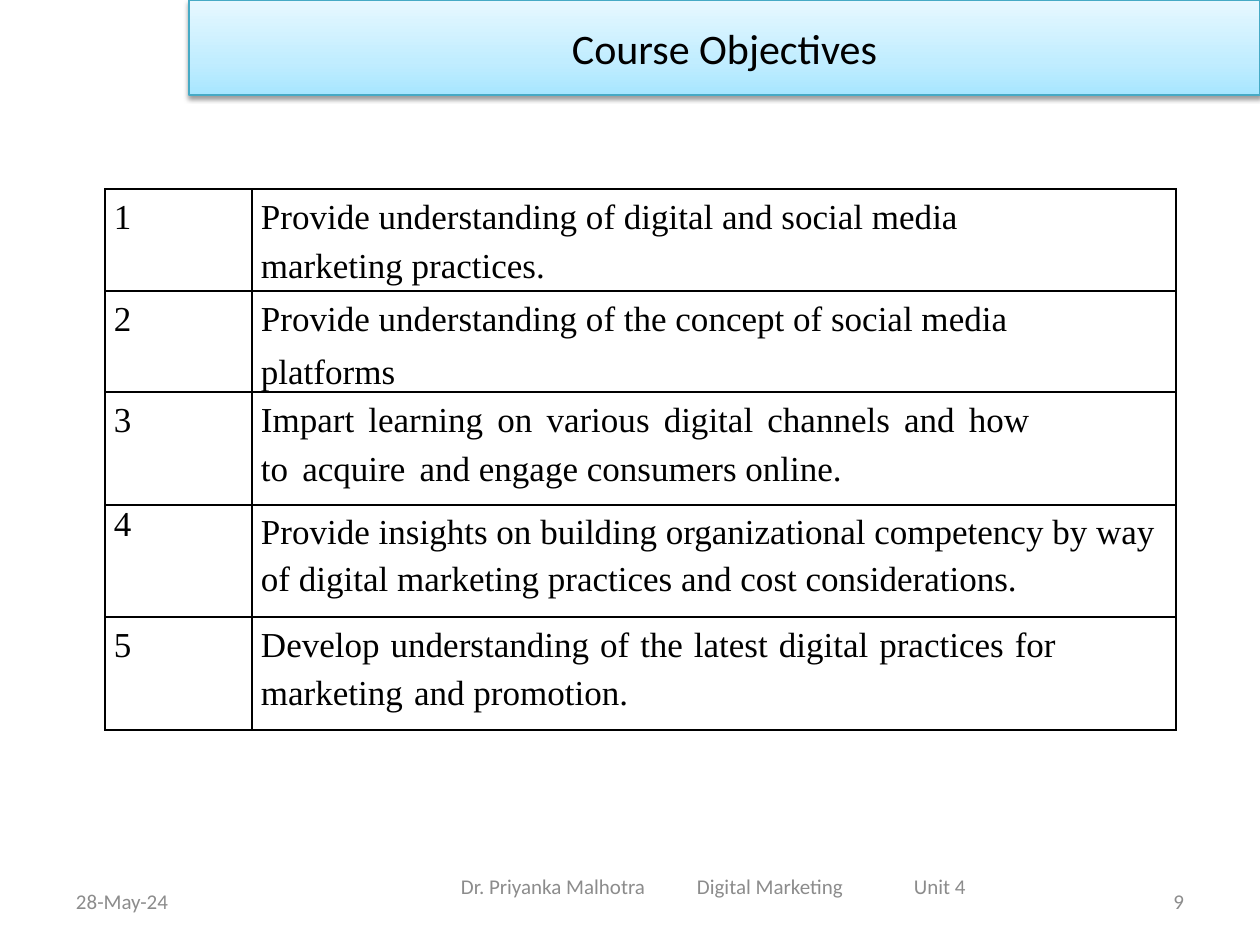
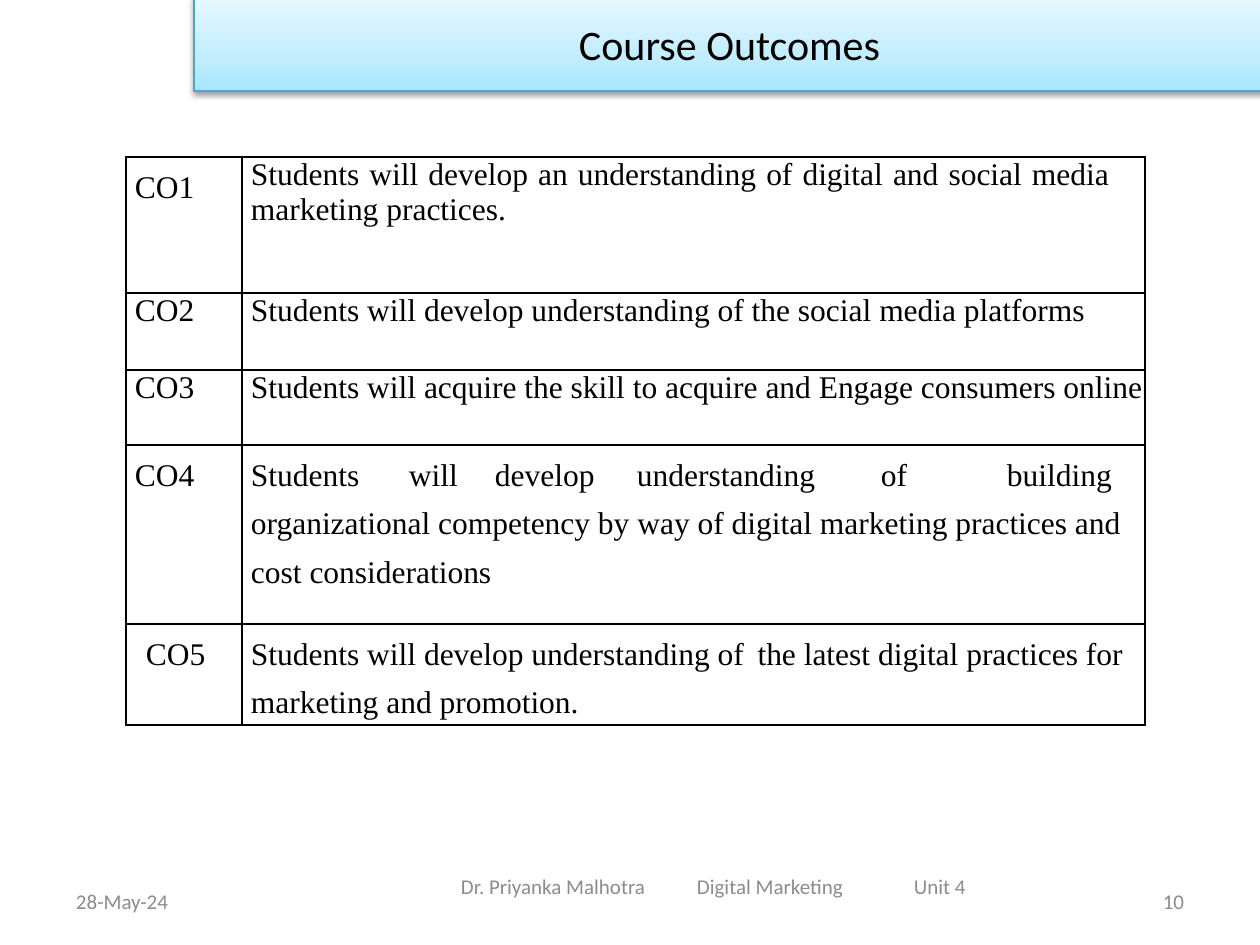
import pptx
import pptx.util
import pptx.dml.color
import pptx.enum.text
import pptx.oxml

PX = 914400 / 126
COLORS = {"text": "000000", "footer": "8C8C8C", "edge": "46AAC5", "border": "000000",
          "band_low": "A7E6FF", "band_mid": "C1EDFF", "band_high": "E7F8FF"}
NS = 'xmlns:a="http://schemas.openxmlformats.org/drawingml/2006/main"'
ALIGN = pptx.enum.text.PP_ALIGN
MIDDLE = pptx.enum.text.MSO_ANCHOR.MIDDLE
SANS, SERIF = "Calibri", "Times New Roman"

FOOTERS = [
    {"box": (63, 876, 294, 50), "text": "28-May-24", "align": ALIGN.LEFT, "inset": 13},
    {"box": (461, 861, 580, 50), "text": "Dr. Priyanka Malhotra\tDigital Marketing\tUnit 4",
     "align": ALIGN.LEFT, "inset": 0, "tabs": (236, 453)},
    {"box": (903, 876, 294, 50), "text": "{number}", "align": ALIGN.RIGHT, "inset": 13},
]

# Cell formats: line pitch and space between paragraphs in points, the rest in px
PLAIN = {}
WIDE = {"pitch": 27.6}
LOOSE = {"pitch": 27.7, "before": 2.1}
TIGHT = {"pitch": 27}
JUSTIFIED = {"align": ALIGN.JUSTIFY, "right": 35}
SHIFTED = {"pitch": 27.6, "left": 20}
TABBED = {"pitch": 27.6, "tabs": (158, 244, 386, 630, 756)}

# A row is height, label, label format, lines, line format.
# A line is a string, or a list of (text, extra points in each word gap).
SLIDES = [
    {"title": "Course Objectives", "number": 9, "band": (189, 0, 1071, 95),
     "origin": (105, 189), "cols": (147, 924), "size": 20, "rows": [
         (102, "1", WIDE, ["Provide understanding of digital and social media",
                           "marketing practices."], WIDE),
         (101, "2", WIDE, ["Provide understanding of the concept of social media",
                           "platforms"], LOOSE),
         (113, "3", WIDE, [[("Impart learning on various digital channels and how", 3)],
                           [("to acquire and", 3), (" engage consumers online.", 0)]], WIDE),
         (112, "4", PLAIN, ["Provide insights on building organizational competency by way",
                            "of digital marketing practices and cost considerations."], TIGHT),
         (113, "5", WIDE, [[("Develop understanding of the latest digital practices for", 1.2)],
                           [("marketing and", 1.2), (" promotion.", 0)]], WIDE)]},
    {"title": "Course Outcomes", "number": 10, "band": (194, -4, 1071, 95),
     "origin": (126, 157), "cols": (116, 903), "size": 18, "rows": [
         (136, "CO1", WIDE, ["Students will develop an understanding of digital and "
                             "social media marketing practices."], JUSTIFIED),
         (77, "CO2", PLAIN,
          ["Students will develop understanding of the social media platforms"], PLAIN),
         (75, "CO3", PLAIN,
          ["Students will acquire the skill to acquire and Engage consumers online"], PLAIN),
         (179, "CO4", WIDE,
          ["Students\twill\tdevelop\tunderstanding\tof\tbuilding",
           "organizational competency by way of digital marketing practices and",
           "cost considerations"], TABBED),
         (101, "CO5", SHIFTED,
          [[("Students will develop understanding of", 0), (" ", 3),
            ("the latest digital practices for", 0)], "marketing and promotion."], WIDE)]},
]

BAND_STYLE = f"""<a:spPr {NS}>
<a:prstGeom prst="rect"><a:avLst/></a:prstGeom>
<a:gradFill><a:gsLst>
<a:gs pos="0"><a:srgbClr val="{COLORS['band_low']}"/></a:gs>
<a:gs pos="35000"><a:srgbClr val="{COLORS['band_mid']}"/></a:gs>
<a:gs pos="100000"><a:srgbClr val="{COLORS['band_high']}"/></a:gs>
</a:gsLst><a:lin ang="16200000" scaled="0"/></a:gradFill>
<a:ln w="9525"><a:solidFill><a:srgbClr val="{COLORS['edge']}"/></a:solidFill></a:ln>
<a:effectLst><a:outerShdw blurRad="39370" dist="20320" dir="5400000" rotWithShape="0">
<a:srgbClr val="000000"><a:alpha val="38000"/></a:srgbClr></a:outerShdw></a:effectLst>
</a:spPr>"""


def px(n):
    return pptx.util.Emu(round(n * PX))


def set_attrs(obj, values):
    for name, value in values.items():
        setattr(obj, name, value)


def add_run(p, text, size, font, color):
    r = p.add_run()
    r.text = text
    set_attrs(r.font, {"size": pptx.util.Pt(size), "name": font, "bold": False})
    r.font.color.rgb = pptx.dml.color.RGBColor.from_string(COLORS[color])
    return r


def set_tabs(p, stops):
    if stops:
        tabs = "".join(f'<a:tab pos="{px(s)}" algn="l"/>' for s in stops)
        p._p.get_or_add_pPr().append(
            pptx.oxml.parse_xml(f"<a:tabLst {NS}>{tabs}</a:tabLst>"))


def add_title(slide, text, band):
    sp = slide.shapes.title
    set_attrs(sp, dict(zip(("left", "top", "width", "height"), map(px, band))))
    for part in list(pptx.oxml.parse_xml(BAND_STYLE)):
        sp._element.spPr.append(part)
    tf = sp.text_frame
    set_attrs(tf, {"vertical_anchor": MIDDLE, "word_wrap": True,
                   "auto_size": pptx.enum.text.MSO_AUTO_SIZE.NONE})
    p = tf.paragraphs[0]
    p.alignment = ALIGN.CENTER
    add_run(p, text, 24, SANS, "text")


def add_footers(slide, number):
    for item in FOOTERS:
        tf = slide.shapes.add_textbox(*map(px, item["box"])).text_frame
        set_attrs(tf, {"word_wrap": True, "vertical_anchor": MIDDLE,
                       "margin_left": px(item["inset"]), "margin_right": px(item["inset"])})
        p = tf.paragraphs[0]
        p.alignment = item["align"]
        set_tabs(p, item.get("tabs"))
        add_run(p, item["text"].format(number=number), 12, SANS, "footer")


def add_spaced_text(p, text, gap, size):
    """Add text, widening each space between words by gap points."""
    if not gap:
        add_run(p, text, size, SERIF, "text")
        return
    for i, word in enumerate(text.split(" ")):
        if i:
            r = add_run(p, " ", size, SERIF, "text")
            r._r.get_or_add_rPr().set("spc", str(round(gap * 100)))
        if word:
            add_run(p, word, size, SERIF, "text")


def set_borders(cell):
    tcPr = cell._tc.get_or_add_tcPr()
    for i, side in enumerate(("lnL", "lnR", "lnT", "lnB")):
        tcPr.insert(i, pptx.oxml.parse_xml(
            f'<a:{side} {NS} w="12700"><a:solidFill><a:srgbClr val="{COLORS["border"]}"/>'
            f"</a:solidFill></a:{side}>"))


def fill_cell(cell, lines, fmt, size):
    cell.fill.background()
    set_borders(cell)
    set_attrs(cell, {"margin_left": px(fmt.get("left", 9)), "margin_top": 0,
                     "margin_right": px(fmt.get("right", 0)), "margin_bottom": 0})
    tf = cell.text_frame
    for i, line in enumerate(lines):
        p = tf.add_paragraph() if i else tf.paragraphs[0]
        p.alignment = fmt.get("align", ALIGN.LEFT)
        if "pitch" in fmt:
            p.line_spacing = pptx.util.Pt(fmt["pitch"])
        if i and "before" in fmt:
            p.space_before = pptx.util.Pt(fmt["before"])
        set_tabs(p, fmt.get("tabs"))
        for text, gap in [(line, 0)] if isinstance(line, str) else line:
            add_spaced_text(p, text, gap, size)


def add_course_table(slide, spec_):
    rows, cols = spec_["rows"], spec_["cols"]
    size = (sum(cols), sum(row[0] for row in rows))
    table = slide.shapes.add_table(
        len(rows), len(cols), *map(px, spec_["origin"] + size)).table
    set_attrs(table, {"first_row": False, "horz_banding": False})
    for column, width in zip(table.columns, cols):
        column.width = px(width)
    for i, (height, label, label_fmt, lines, fmt) in enumerate(rows):
        table.rows[i].height = px(height)
        fill_cell(table.cell(i, 0), [label], label_fmt, spec_["size"])
        fill_cell(table.cell(i, 1), lines, fmt, spec_["size"])


def main():
    prs = pptx.Presentation()
    set_attrs(prs, {"slide_width": px(1260), "slide_height": px(945)})
    for content in SLIDES:
        slide = prs.slides.add_slide(prs.slide_layouts.get_by_name("Title Only"))
        add_footers(slide, content["number"])
        add_title(slide, content["title"], content["band"])
        add_course_table(slide, content)
    prs.save("out.pptx")


if __name__ == "__main__":
    main()
